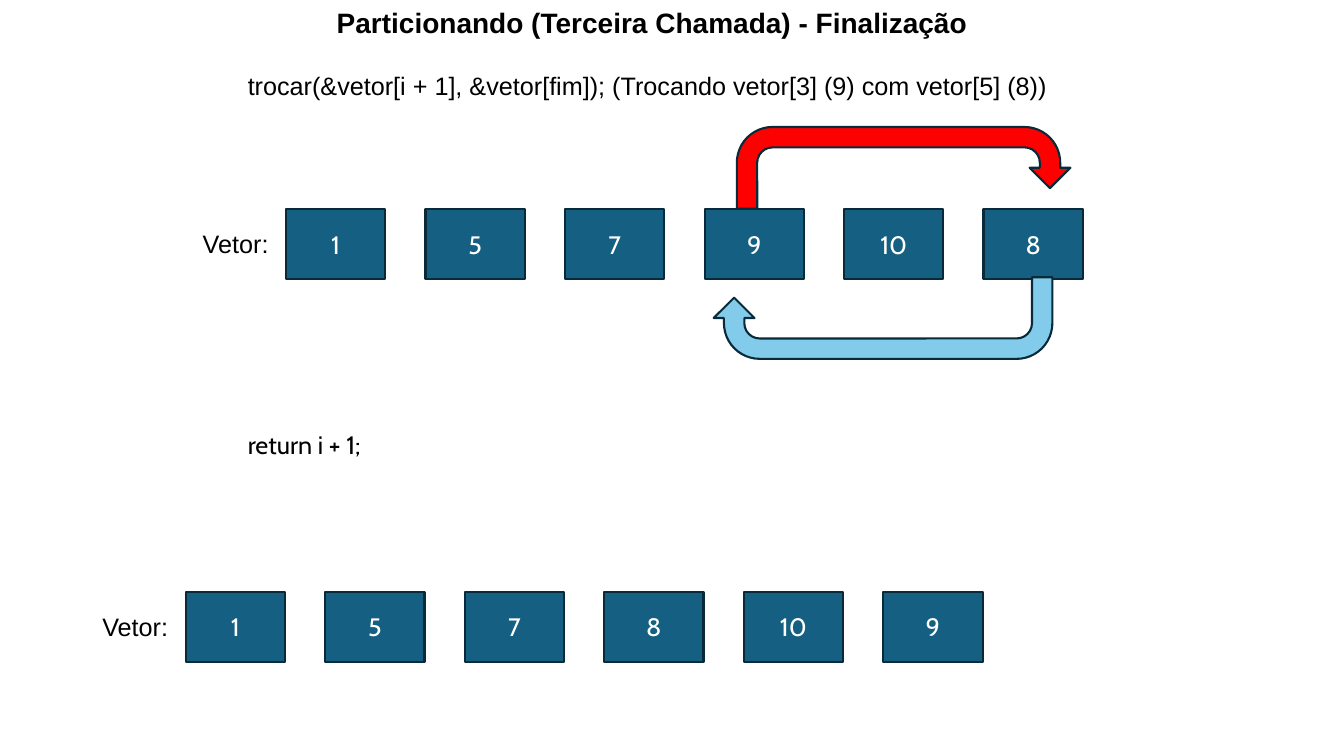
"""Builds the slide on the final swap of the third partition call."""
from dataclasses import dataclass

from pptx import Presentation
from pptx.dml.color import RGBColor
from pptx.enum.shapes import MSO_SHAPE
from pptx.enum.text import MSO_ANCHOR, MSO_AUTO_SIZE, PP_ALIGN
from pptx.shapes.autoshape import Shape
from pptx.slide import Slide
from pptx.util import Pt

RECTANGLE, U_TURN = MSO_SHAPE.RECTANGLE, MSO_SHAPE.U_TURN_ARROW
TOP, MIDDLE = MSO_ANCHOR.TOP, MSO_ANCHOR.MIDDLE
LEFT, CENTER = PP_ALIGN.LEFT, PP_ALIGN.CENTER
NO_AUTOFIT = MSO_AUTO_SIZE.NONE

COLORS = {
    "text": "000000",
    "cell": "156082",
    "cell_text": "FFFFFF",
    "outline": "092A39",
    "swap_out": "FF0000",
    "swap_in": "83CBEB",
}
CELL_WIDTH, CELL_HEIGHT, CELL_STEP = 71, 49.7, 99.65
LABEL_OFFSET_X, LABEL_OFFSET_Y = 66.6, 10.1
LINE_HEIGHT = 29


@dataclass(frozen=True)
class Box:
    left: float
    top: float
    width: float
    height: float


@dataclass(frozen=True)
class TextLine:
    text: str
    box: Box
    font: str = "Arial"


@dataclass(frozen=True)
class Vector:
    values: tuple[int, ...]
    left: float
    top: float


@dataclass(frozen=True)
class SwapArrow:
    box: Box
    color: str
    rotation: float = 0


TITLE = TextLine("Particionando (Terceira Chamada) - Finalização", Box(233.3, 0, 515.5, 31.7))
TEXT_LINES = (
    TextLine(
        "trocar(&vetor[i + 1], &vetor[fim]); (Trocando vetor[3] (9) com vetor[5] (8))",
        Box(169.9, 46.8, 595.4, LINE_HEIGHT),
    ),
    TextLine("return i + 1;", Box(169.9, 303.1, 139.7, LINE_HEIGHT), "Cabin"),
)
VECTORS = (
    Vector((1, 5, 7, 9, 10, 8), 204.3, 149.5),
    Vector((1, 5, 7, 8, 10, 9), 132.6, 422.9),
)
SWAP_ARROWS = (
    SwapArrow(Box(526.3, 90.7, 238.3, 58.3), "swap_out"),
    SwapArrow(Box(509.8, 198, 241.9, 58.3), "swap_in", 180),
)


def rgb(color: str) -> RGBColor:
    """Return the named colour."""
    return RGBColor.from_string(COLORS[color])


def place(shape: Shape, box: Box) -> None:
    """Move and size a shape."""
    shape.left, shape.top = Pt(box.left), Pt(box.top)
    shape.width, shape.height = Pt(box.width), Pt(box.height)


def write(shape: Shape, text: str, font: str, color: str = "text", size: float = 18,
          bold: bool = False, anchor: MSO_ANCHOR = TOP, align: PP_ALIGN = LEFT) -> None:
    """Set and format the text of a shape."""
    frame = shape.text_frame
    frame.text = text
    frame.word_wrap = True
    frame.auto_size = NO_AUTOFIT
    frame.vertical_anchor = anchor
    paragraph = frame.paragraphs[0]
    paragraph.alignment = align
    for run in paragraph.runs:
        run.font.name = font
        run.font.size = Pt(size)
        run.font.bold = bold
        run.font.color.rgb = rgb(color)


def add_text_line(slide: Slide, line: TextLine) -> None:
    """Add a line of text."""
    shape = slide.shapes.add_textbox(0, 0, 0, 0)
    place(shape, line.box)
    write(shape, line.text, line.font)


def add_outlined_shape(slide: Slide, preset: MSO_SHAPE, box: Box, color: str) -> Shape:
    """Add a filled shape with the dark outline."""
    shape = slide.shapes.add_shape(preset, 0, 0, 0, 0)
    place(shape, box)
    shape.shadow.inherit = False
    shape.fill.solid()
    shape.fill.fore_color.rgb = rgb(color)
    shape.line.color.rgb = rgb("outline")
    shape.line.width = Pt(1.5)
    return shape


def add_vector(slide: Slide, vector: Vector) -> None:
    """Add a label and a row of evenly spaced cells."""
    label_box = Box(vector.left - LABEL_OFFSET_X, vector.top + LABEL_OFFSET_Y, 758, LINE_HEIGHT)
    add_text_line(slide, TextLine("Vetor:", label_box))
    for index, value in enumerate(vector.values):
        box = Box(vector.left + index * CELL_STEP, vector.top, CELL_WIDTH, CELL_HEIGHT)
        cell = add_outlined_shape(slide, RECTANGLE, box, "cell")
        write(cell, str(value), "Cabin", "cell_text", anchor=MIDDLE, align=CENTER)


def add_swap_arrow(slide: Slide, arrow: SwapArrow) -> None:
    """Add a U-turn arrow between two swapped cells."""
    shape = add_outlined_shape(slide, U_TURN, arrow.box, arrow.color)
    shape.rotation = arrow.rotation


def main() -> None:
    """Build and save the presentation."""
    presentation = Presentation()
    presentation.slide_width, presentation.slide_height = Pt(960), Pt(540)
    slide = presentation.slides.add_slide(presentation.slide_layouts.get_by_name("Title Only"))
    title = slide.shapes.title
    place(title, TITLE.box)
    write(title, TITLE.text, TITLE.font, size=20, bold=True)
    for line in TEXT_LINES:
        add_text_line(slide, line)
    for vector in VECTORS:
        add_vector(slide, vector)
    for arrow in SWAP_ARROWS:
        add_swap_arrow(slide, arrow)
    presentation.save("out.pptx")


if __name__ == "__main__":
    main()
